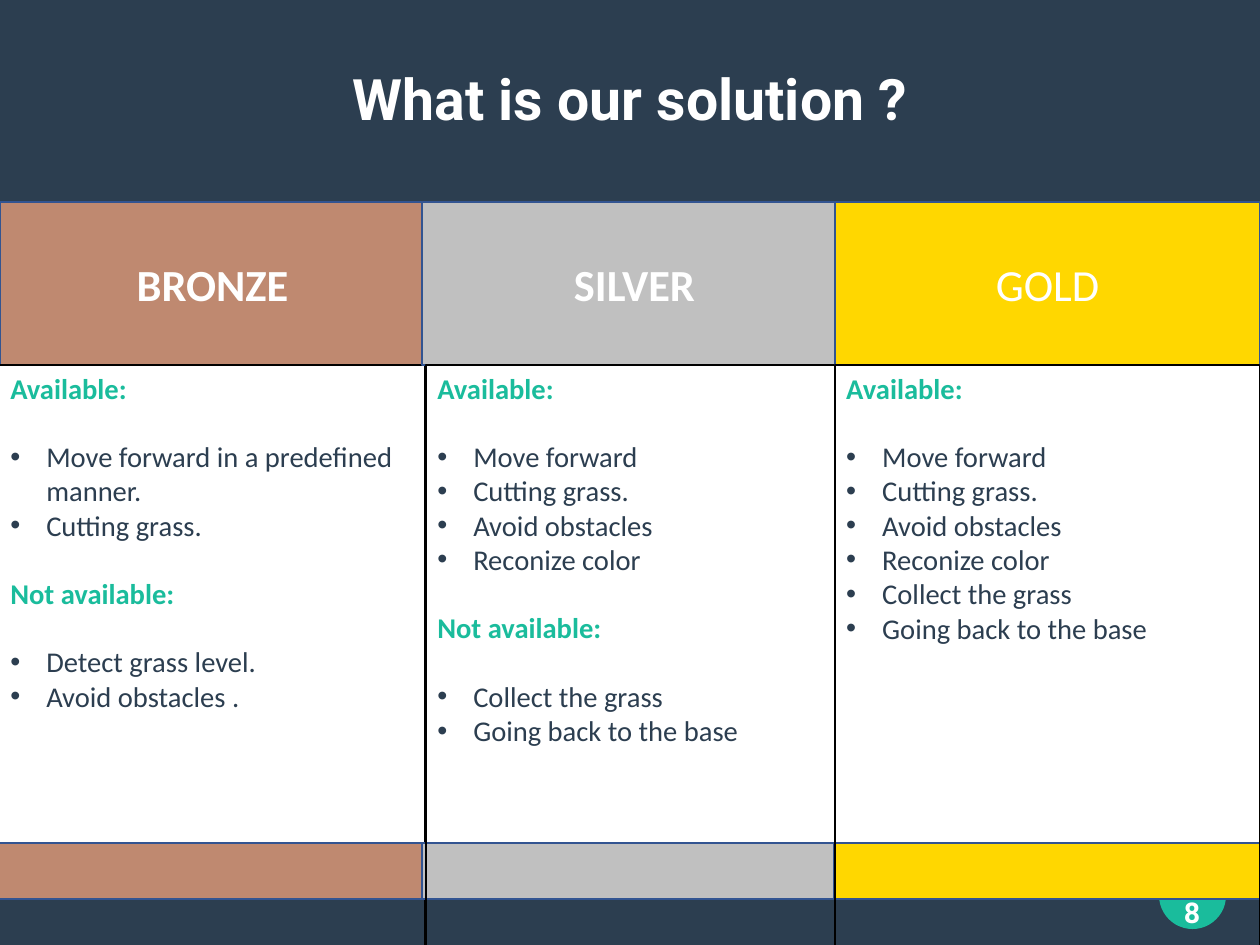
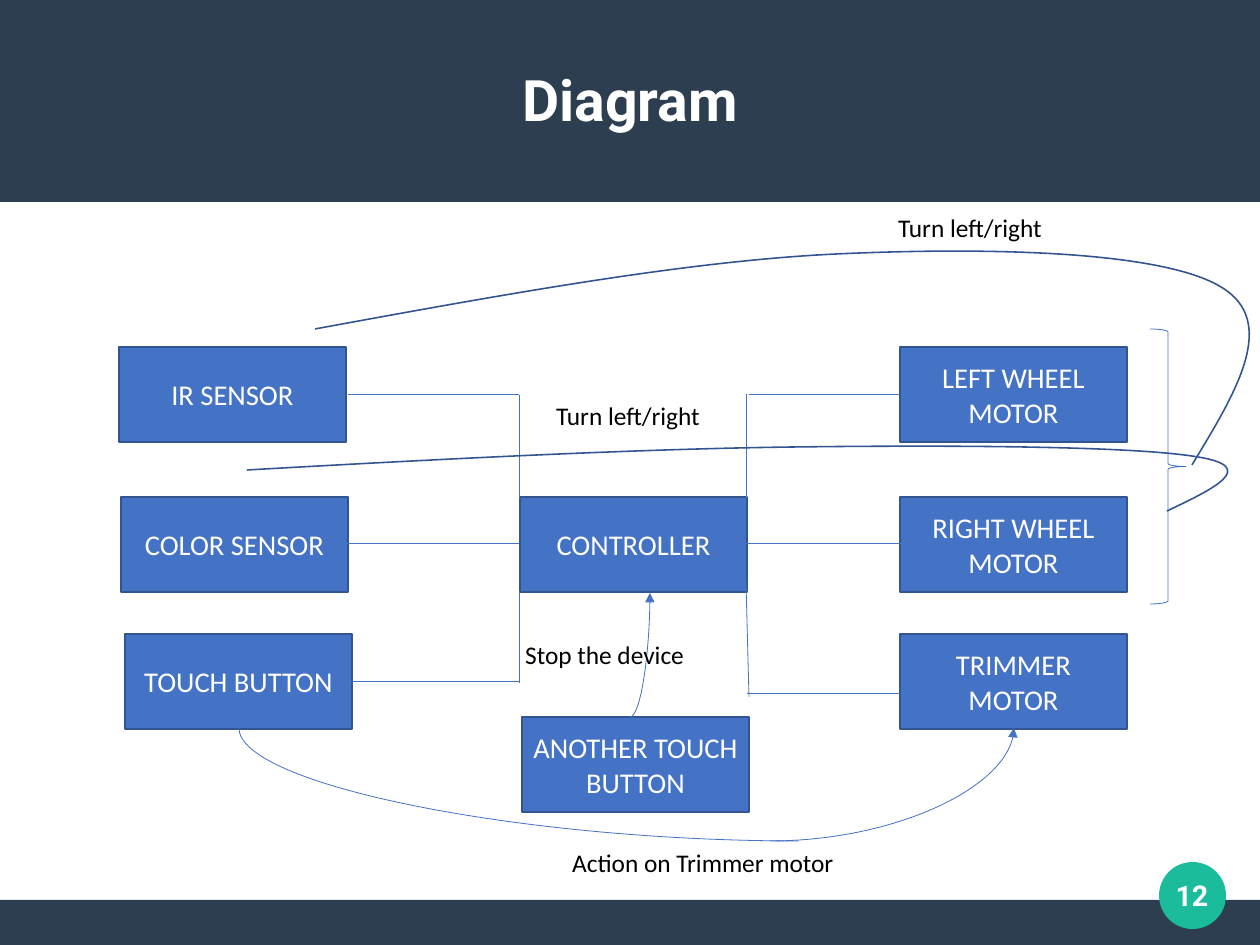
import lxml.etree
import pptx
import pptx.dml.color
import pptx.enum.shapes
import pptx.enum.text
import pptx.oxml.ns
import pptx.util

RGB = pptx.dml.color.RGBColor
SHAPE = pptx.enum.shapes.MSO_SHAPE
CONNECTOR = pptx.enum.shapes.MSO_CONNECTOR
ALIGN = pptx.enum.text.PP_ALIGN
ANCHOR = pptx.enum.text.MSO_ANCHOR
FIT = pptx.enum.text.MSO_AUTO_SIZE
qn = pptx.oxml.ns.qn

EMU_PER_PX = 8000
WIDTH, HEIGHT = 1260, 945
BAND_TOP, BAND_BOTTOM = 202, 900
LIST_GAP = 21.5

NAVY = RGB(0x2C, 0x3E, 0x50)
TEAL = RGB(0x1A, 0xBC, 0x9C)
BLUE = RGB(0x44, 0x72, 0xC4)
OUTLINE = RGB(0x32, 0x54, 0x91)
BRONZE = RGB(0xBF, 0x89, 0x70)
SILVER = RGB(0xC0, 0xC0, 0xC0)
GOLD = RGB(0xFF, 0xD7, 0x00)
WHITE = RGB(0xFF, 0xFF, 0xFF)
BLACK = RGB(0x00, 0x00, 0x00)

BODY_FONT = "Calibri"
TITLE_FONT = "Roboto"

TIERS = [
    {
        "name": "BRONZE", "bold": True, "color": BRONZE,
        "header": (0, 425), "footer": (-3, 425), "panel": (-1, 426, 634),
        "lists": [
            ("Available:", ["Move forward in a predefined manner.", "Cutting grass."]),
            ("Not available:", ["Detect grass level.", "Avoid obstacles ."]),
        ],
    },
    {
        "name": "SILVER", "bold": True, "color": SILVER,
        "header": (422, 425), "footer": (422, 412), "panel": (426, 409, 670),
        "lists": [
            ("Available:", ["Move forward", "Cutting grass.", "Avoid obstacles", "Reconize color"]),
            ("Not available:", ["Collect the grass", "Going back to the base"]),
        ],
    },
    {
        "name": "GOLD", "bold": False, "color": GOLD,
        "header": (835, 425), "footer": (835, 425), "panel": (835, 425, 670),
        "lists": [
            ("Available:", ["Move forward", "Cutting grass.", "Avoid obstacles",
                            "Reconize color", "Collect the grass", "Going back to the base"]),
        ],
    },
]

NODE_SIZE = (227, 95)
NODES = [
    ("CONTROLLER", 520, 497),
    ("LEFT WHEEL MOTOR", 900, 347),
    ("RIGHT WHEEL MOTOR", 900, 497),
    ("TRIMMER MOTOR", 900, 634),
    ("TOUCH BUTTON", 125, 634),
    ("COLOR SENSOR", 121, 497),
    ("IR SENSOR", 119, 347),
    ("ANOTHER TOUCH BUTTON", 522, 717),
]
WIRES = [
    (900, 394, 749, 394),
    (912, 543, 746, 543),
    (900, 693, 747, 693),
    (746, 581, 749, 697),
    (746, 394, 746, 498),
    (519, 394, 348, 394),
    (519, 543, 323, 543),
    (519, 681, 349, 681),
    (519, 591, 519, 683),
    (519, 395, 519, 498),
]
BENDS = [
    (770, 841, 1014, 728, True),
    (799, 841, 239, 728, False),
    (630, 717, 650, 593, True),
]
SWEEPS = [
    (935, [(1192, 465), (1235, 394), (1280, 322), (1221, 287), (1162, 251), (988, 247),
           (837, 254), (686, 261), (501, 295), (315, 329)]),
    (981, [(1167, 511), (1213, 489), (1260, 467), (1198, 457), (1135, 446), (952, 445),
           (793, 447), (636, 449), (441, 459), (247, 470)]),
]
CAPTIONS = [
    ("Turn left/right", 887, 206, 169),
    ("Turn left/right", 545, 394, 169),
    ("Action on Trimmer motor", 561, 841, 288),
    ("Stop the device", 514, 633, 184),
]


def px(*lengths):
    return [pptx.util.Emu(length * EMU_PER_PX) for length in lengths]


def add_run(paragraph, text, size, color, bold=False, font=BODY_FONT):
    run = paragraph.add_run()
    run.text = text
    run.font.size = pptx.util.Pt(size)
    run.font.name = font
    run.font.bold = bold
    run.font.color.rgb = color


def center_text(shape, text, size, bold=False, font=BODY_FONT, margin=None):
    frame = shape.text_frame
    frame.word_wrap = True
    frame.vertical_anchor = ANCHOR.MIDDLE
    if margin is not None:
        frame.margin_left = frame.margin_right = margin
        frame.margin_top = frame.margin_bottom = margin
    paragraph = frame.paragraphs[0]
    paragraph.alignment = ALIGN.CENTER
    add_run(paragraph, text, size, WHITE, bold, font)


def add_box(slide, box, fill=None, line=None, line_width=1, kind=SHAPE.RECTANGLE):
    shape = slide.shapes.add_shape(kind, *px(*box))
    shape.shadow.inherit = False
    if fill is None:
        shape.fill.background()
    else:
        shape.fill.solid()
        shape.fill.fore_color.rgb = fill
    if line is None:
        shape.line.fill.background()
    else:
        shape.line.color.rgb = line
        shape.line.width = pptx.util.Pt(line_width)
    return shape


def add_layout_bands(slide):
    tree = slide.slide_layout.shapes.element
    parts = [
        ((0, BAND_BOTTOM, WIDTH, HEIGHT - BAND_BOTTOM), NAVY, SHAPE.RECTANGLE),
        ((0, 0, WIDTH, BAND_TOP), NAVY, SHAPE.RECTANGLE),
        ((1159, 862, 67, 67), TEAL, SHAPE.OVAL),
    ]
    for index, (box, color, kind) in enumerate(parts):
        element = add_box(slide, box, color, kind=kind).element
        element.nvSpPr.cNvPr.set("id", str(20 + index))
        tree.insert(2 + index, element)


def set_title(slide, text, box):
    title = slide.shapes.title
    title.left, title.top, title.width, title.height = px(*box)
    title.text_frame.auto_size = FIT.NONE
    center_text(title, text, 36, True, TITLE_FONT, 0)


def add_page_number(slide, number, top, height):
    box = slide.shapes.add_textbox(*px(1147, top, 90, height))
    center_text(box, number, 18, True, TITLE_FONT, 0)


def make_bullet(paragraph):
    properties = paragraph._p.get_or_add_pPr()
    indent = px(36)[0]
    properties.set("marL", str(indent))
    properties.set("indent", str(-indent))
    lxml.etree.SubElement(properties, qn("a:buFont")).set("typeface", "Arial")
    lxml.etree.SubElement(properties, qn("a:buChar")).set("char", "•")


def add_feature_panel(slide, box, lists):
    panel = add_box(slide, box, line=BLACK, line_width=0.75)
    frame = panel.text_frame
    frame.word_wrap = True
    frame.vertical_anchor = ANCHOR.TOP
    for index, (heading, features) in enumerate(lists):
        paragraph = frame.add_paragraph() if index else frame.paragraphs[0]
        paragraph.alignment = ALIGN.LEFT
        paragraph.space_before = pptx.util.Pt(LIST_GAP if index else 0)
        paragraph.space_after = pptx.util.Pt(LIST_GAP)
        add_run(paragraph, heading, 18, TEAL, True)
        for feature in features:
            paragraph = frame.add_paragraph()
            paragraph.alignment = ALIGN.LEFT
            make_bullet(paragraph)
            add_run(paragraph, feature, 18, NAVY)


def add_tier_column(slide, tier, top):
    left, width = tier["header"]
    header = add_box(slide, (left, top, width, 163), tier["color"], OUTLINE)
    center_text(header, tier["name"], 28, tier["bold"])
    left, width = tier["footer"]
    add_box(slide, (left, top + 641, width, 56), tier["color"], OUTLINE)
    left, width, height = tier["panel"]
    add_feature_panel(slide, (left, top + 163, width, height), tier["lists"])


def add_line(slide, ends, curved=False, arrow=False):
    kind = CONNECTOR.CURVE if curved else CONNECTOR.STRAIGHT
    connector = slide.shapes.add_connector(kind, *px(*ends))
    connector.line.color.rgb = BLUE
    connector.line.width = pptx.util.Pt(0.5)
    properties = connector.element.spPr
    if curved:
        properties.find(qn("a:prstGeom")).set("prst", "curvedConnector2")
    if arrow:
        tail = lxml.etree.SubElement(properties.find(qn("a:ln")), qn("a:tailEnd"))
        tail.set("type", "triangle")
    lxml.etree.SubElement(properties, qn("a:effectLst"))


def add_sweep(slide, width, knots):
    points = [px(*knot) for knot in knots]
    builder = slide.shapes.build_freeform(*points[0])
    builder.add_line_segments(points[1:], close=False)
    sweep = builder.convert_to_shape()
    sweep.shadow.inherit = False
    sweep.fill.background()
    sweep.line.color.rgb = OUTLINE
    sweep.line.width = pptx.util.Pt(1)
    sweep.width = px(width)[0]
    outline = next(sweep.element.iter(qn("a:path")))
    outline.set("w", str(sweep.width))
    segments = outline.findall(qn("a:lnTo"))
    for start in range(0, len(segments), 3):
        curve = lxml.etree.SubElement(outline, qn("a:cubicBezTo"))
        for segment in segments[start:start + 3]:
            curve.append(segment[0])
            outline.remove(segment)


def add_caption(slide, text, left, top, width):
    caption = slide.shapes.add_textbox(*px(left, top, width, 42))
    caption.text_frame.word_wrap = False
    caption.text_frame.auto_size = FIT.SHAPE_TO_FIT_TEXT
    add_run(caption.text_frame.paragraphs[0], text, 16, BLACK)


def build_solution_slide(slide):
    set_title(slide, "What is our solution ?", (45, 38, 1170, 120))
    for tier in TIERS:
        add_tier_column(slide, tier, BAND_TOP)
    add_page_number(slide, "8", 885, 55)


def build_diagram_slide(slide):
    set_title(slide, "Diagram", (49, 30, 1162, 137))
    for text, left, top in NODES:
        node = add_box(slide, (left, top, *NODE_SIZE), BLUE, OUTLINE)
        center_text(node, text, 18)
    for wire in WIRES:
        add_line(slide, wire)
    add_box(slide, (1150, 329, 36, 275), line=BLUE, line_width=0.5, kind=SHAPE.RIGHT_BRACE)
    for *ends, arrow in BENDS:
        add_line(slide, ends, True, arrow)
    for width, knots in SWEEPS:
        add_sweep(slide, width, knots)
    for caption in CAPTIONS:
        add_caption(slide, *caption)
    add_page_number(slide, "12", 850, 90)


def main():
    presentation = pptx.Presentation()
    presentation.slide_width, presentation.slide_height = px(WIDTH, HEIGHT)
    layout = presentation.slide_layouts[5]
    solution = presentation.slides.add_slide(layout)
    add_layout_bands(solution)
    build_solution_slide(solution)
    build_diagram_slide(presentation.slides.add_slide(layout))
    presentation.save("out.pptx")


if __name__ == "__main__":
    main()
